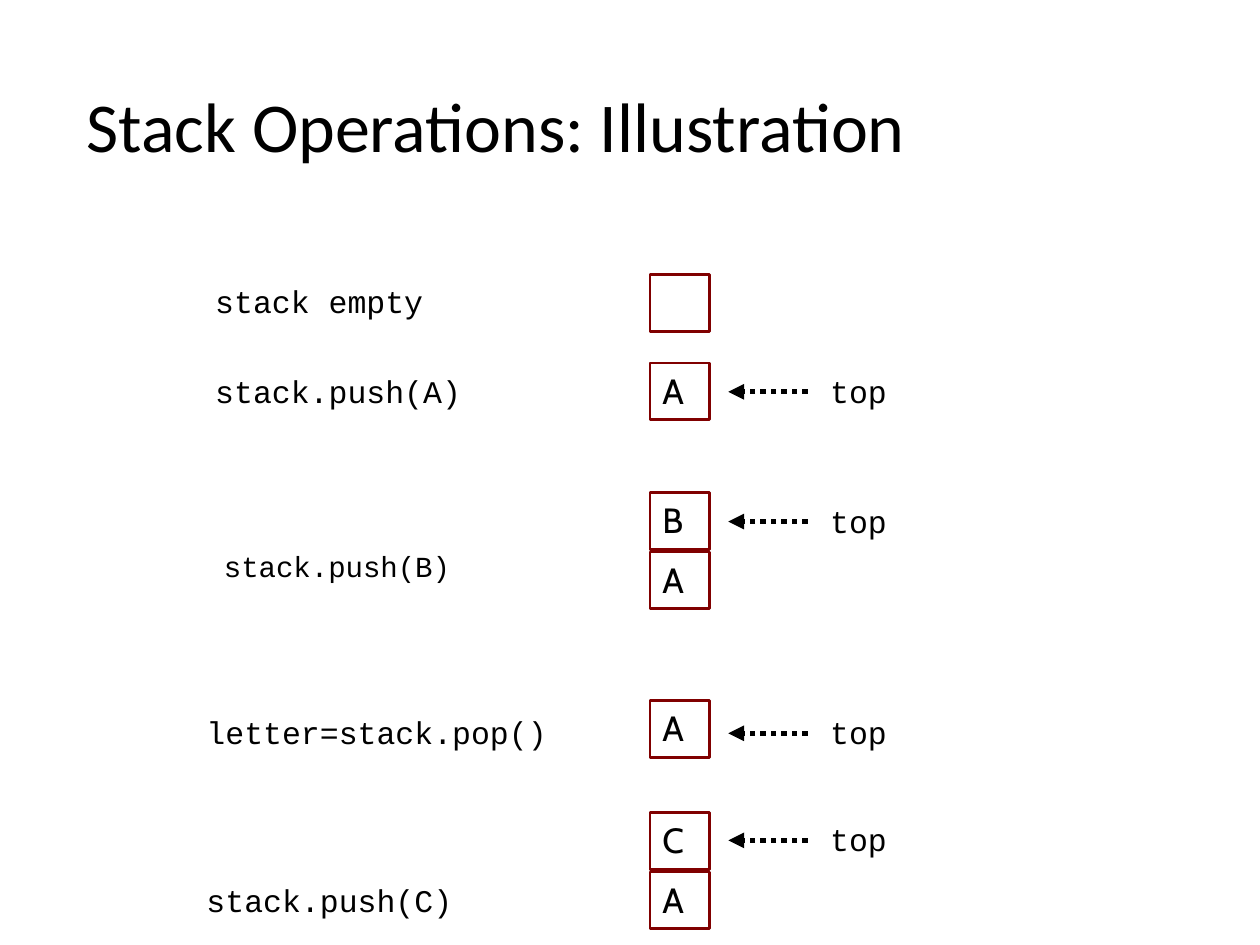
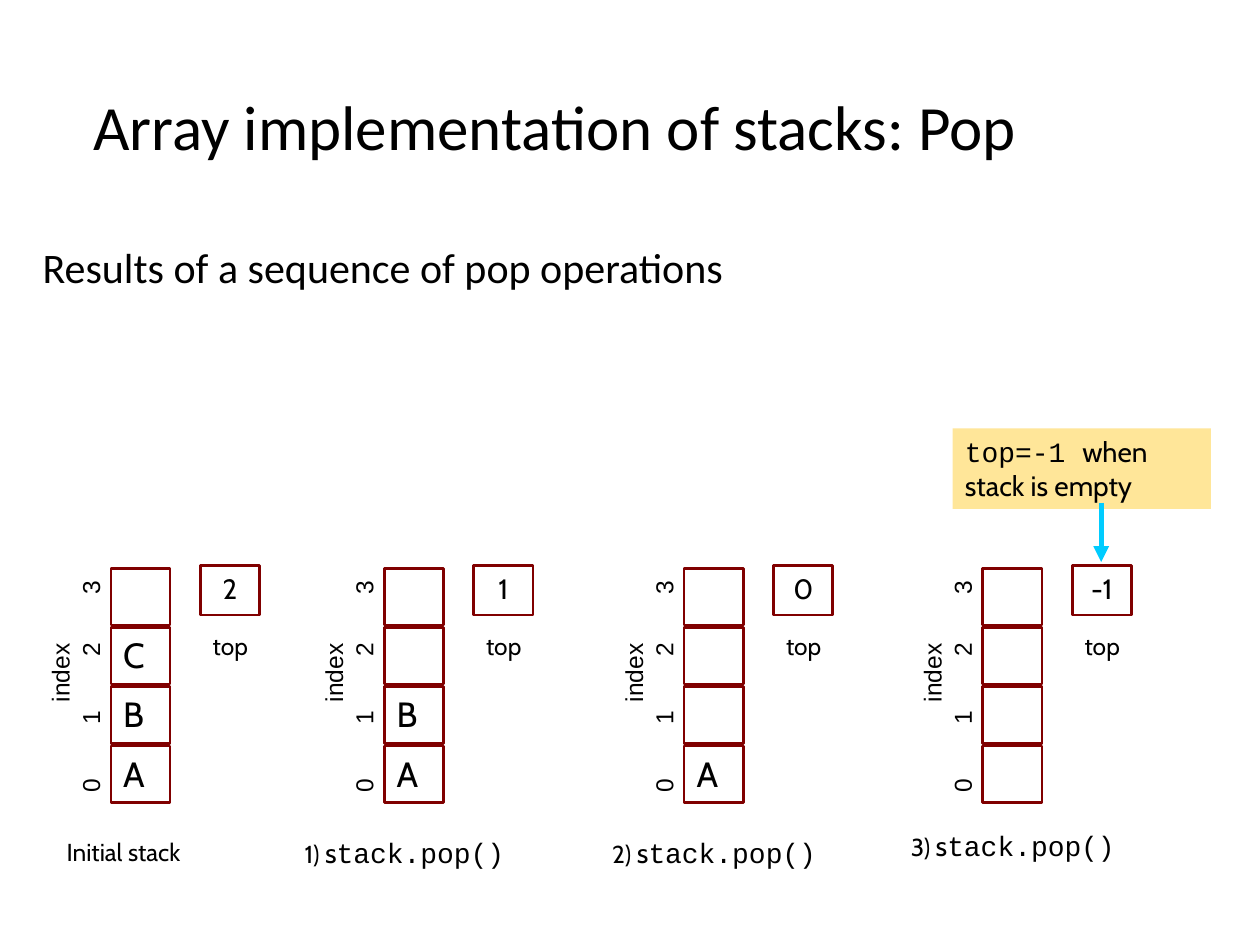
"""Build two slides on stack operations, laid out on a grid of 100 columns by 75 rows."""
from lxml import etree
from pptx import Presentation
from pptx.dml.color import RGBColor
from pptx.enum.dml import MSO_LINE
from pptx.enum.shapes import MSO_CONNECTOR, MSO_SHAPE
from pptx.enum.text import MSO_ANCHOR, PP_ALIGN
from pptx.oxml.ns import qn
from pptx.util import Inches, Pt

RECT = MSO_SHAPE.RECTANGLE
LINE = MSO_CONNECTOR.STRAIGHT
DOTS = MSO_LINE.ROUND_DOT
TOP, MID = MSO_ANCHOR.TOP, MSO_ANCHOR.MIDDLE
LEFT, MIDST = PP_ALIGN.LEFT, PP_ALIGN.CENTER
BLANK = 6


def tint(code):
    return RGBColor.from_string(code)


def put(thing, values):
    for name, value in values.items():
        setattr(thing, name, value)


class Deck:
    """Hold the shared style and the current slide."""

    ink, edge, note, mark = "000000", "800000", "FFE699", "00CCFF"
    head, code, body, axis = "Calibri", "Courier New", "Cabin", "Arial"
    side, tall, step = 4.7, 4.5, 4.7

    def __init__(self):
        self.show = Presentation()
        put(self.show, {"slide_width": Inches(10), "slide_height": Inches(7.5)})
        self.col = self.show.slide_width / 100
        self.row = self.show.slide_height / 75

    def grid(self, *spots):
        units = (self.col, self.row) * 2
        return [round(spot * unit) for spot, unit in zip(spots, units)]

    def page(self, title, left, size):
        self.slide = self.show.slides.add_slide(self.show.slide_layouts[BLANK])
        self.text((left, 2.3, 100 - left, 16), [(title, self.head, size)],
                  {"line_spacing": 0.9}, {"vertical_anchor": MID})

    def fill(self, shape, runs, para=None, frame=None):
        put(shape.text_frame, {"word_wrap": True, "vertical_anchor": TOP, **(frame or {})})
        block = shape.text_frame.paragraphs[0]
        put(block, {"alignment": LEFT, **(para or {})})
        for words, face, size in runs:
            run = block.add_run()
            run.text = words
            put(run.font, {"name": face, "size": Pt(size)})
            run.font.color.rgb = tint(self.ink)
        return block

    def text(self, at, runs, para=None, frame=None, turn=0):
        shape = self.slide.shapes.add_textbox(*self.grid(*at))
        shape.rotation = turn
        return self.fill(shape, runs, para, frame)

    def term(self, left, top, wide, words, size=18):
        self.text((left, top, wide, 3.6), [(words, self.code, size)], {"line_spacing": 0.8})

    def box(self, at, runs=(), para=None, paint=None):
        shape = self.slide.shapes.add_shape(RECT, *self.grid(*at))
        shape.shadow.inherit = False
        if paint:
            shape.fill.solid()
            shape.fill.fore_color.rgb = tint(paint)
            shape.line.fill.background()
        else:
            shape.fill.background()
            shape.line.color.rgb = tint(self.edge)
            shape.line.width = Pt(1.5)
        self.fill(shape, runs, para)

    def cells(self, left, top, items):
        for place, item in enumerate(items):
            runs = [(item, self.body, 20)] if item else []
            self.box((left, top + place * self.step, self.side, self.tall), runs)

    def arrow(self, start, end, color, dash=None):
        link = self.slide.shapes.add_connector(LINE, *self.grid(*start, *end))
        link.line.color.rgb = tint(color)
        put(link.line, {"width": Pt(3), "dash_style": dash})
        prop = link._element.spPr
        etree.SubElement(prop.get_or_add_ln(), qn("a:tailEnd"), type="triangle")
        etree.SubElement(prop, qn("a:effectLst"))

    def scale(self, left):
        inset = {"margin_left": Inches(0.21)}
        self.text((left - 12.3, 52.3, 16.5, 3.3), [("index", self.axis, 14)],
                  {"alignment": MIDST}, inset, 270)
        block = self.text((left - 11.9, 53.1, 20.5, 3.3), [("0\t1\t2\t3", self.axis, 14)],
                          None, inset, 270)
        tabs = etree.SubElement(block._p.get_or_add_pPr(), qn("a:tabLst"))
        for stop in (0.54, 1.08, 1.57):
            etree.SubElement(tabs, qn("a:tab"), pos=str(Inches(stop)), algn="l")

    def stack(self, left, items, top):
        self.cells(left, 45.1, items)
        self.scale(left)
        self.box((left + 7.1, 44.9, self.side, 3.9), [(top, self.body, 16)],
                 {"alignment": MIDST})
        self.text((left + 7.1, 49.6, 6.3, 3.3), [("top", self.body, 14)])


def trace(deck):
    deck.page("Stack Operations: Illustration", 5.9, 40)
    steps = [
        ("stack empty", 16.1, 22.5, 18, 21.8, [""], None),
        ("stack.push(A)", 16.1, 29.6, 18, 28.8, ["A"], 29.6),
        (" stack.push(B)", 15.4, 43.6, 16.6, 39.1, ["B", "A"], 39.9),
        ("letter=stack.pop()", 15.4, 56.7, 18, 55.6, ["A"], 56.7),
        ("stack.push(C)", 15.4, 70, 18, 64.5, ["C", "A"], 65.2),
    ]
    for words, left, row, size, high, items, top in steps:
        deck.term(left, row, 31.5, words, size)
        deck.cells(51.6, high, items)
        if top:
            deck.arrow((64.1, top + 1.5), (57.8, top + 1.5), deck.ink, DOTS)
            deck.term(64.9, top, 7.9, "top")


def pops(deck):
    deck.page("Array implementation of stacks: Pop", 6.4, 36)
    deck.text((2.4, 19.1, 59, 7), [("Results of a sequence of pop operations", deck.head, 24)],
              {"line_spacing": 0.9})
    stacks = [
        (8.8, ["", "C", "B", "A"], "2", 4.3, 65.9),
        (30.5, ["", "", "B", "A"], "1", 23.2, 65.8),
        (54.3, ["", "", "", "A"], "0", 47.6, 65.8),
        (78, [""] * 4, "-1", 71.3, 65.3),
    ]
    for count, (left, items, top, start, row) in enumerate(stacks):
        deck.stack(left, items, top)
        runs = [("Initial stack", deck.body, 14)]
        if count:
            runs = [(f"{count}) ", deck.body, 14), ("s", deck.body, 16),
                    ("tack.pop()", deck.code, 16)]
        deck.text((start, row, 18.9, 3.7), runs)
    deck.box((75.6, 34, 20.5, 6.4), [("top=-1 ", deck.code, 16),
             ("when stack is empty", deck.body, 16)], paint=deck.note)
    deck.arrow((87.4, 39.9), (87.4, 44.6), deck.mark)


def main():
    deck = Deck()
    trace(deck)
    pops(deck)
    deck.show.save("out.pptx")


if __name__ == "__main__":
    main()
